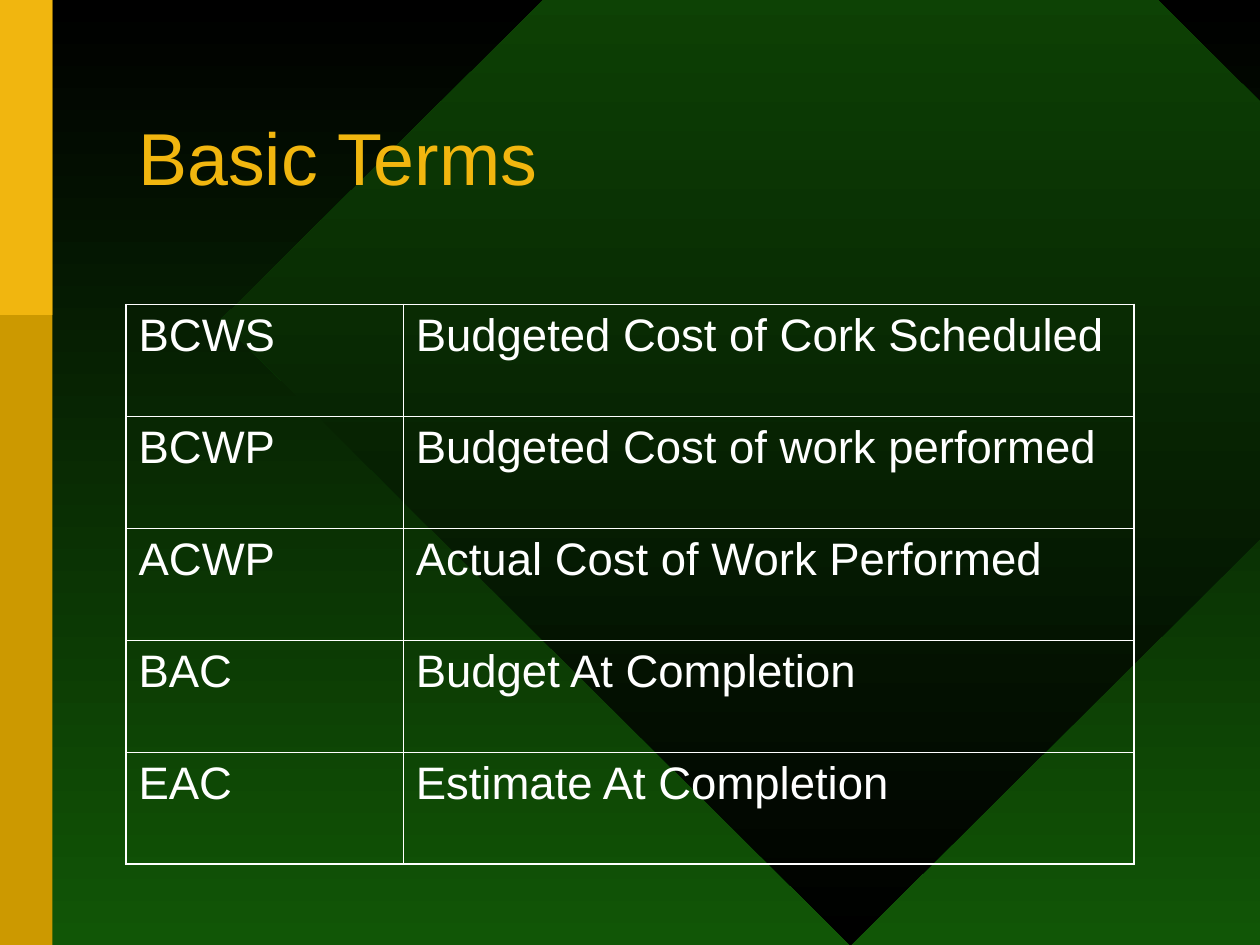
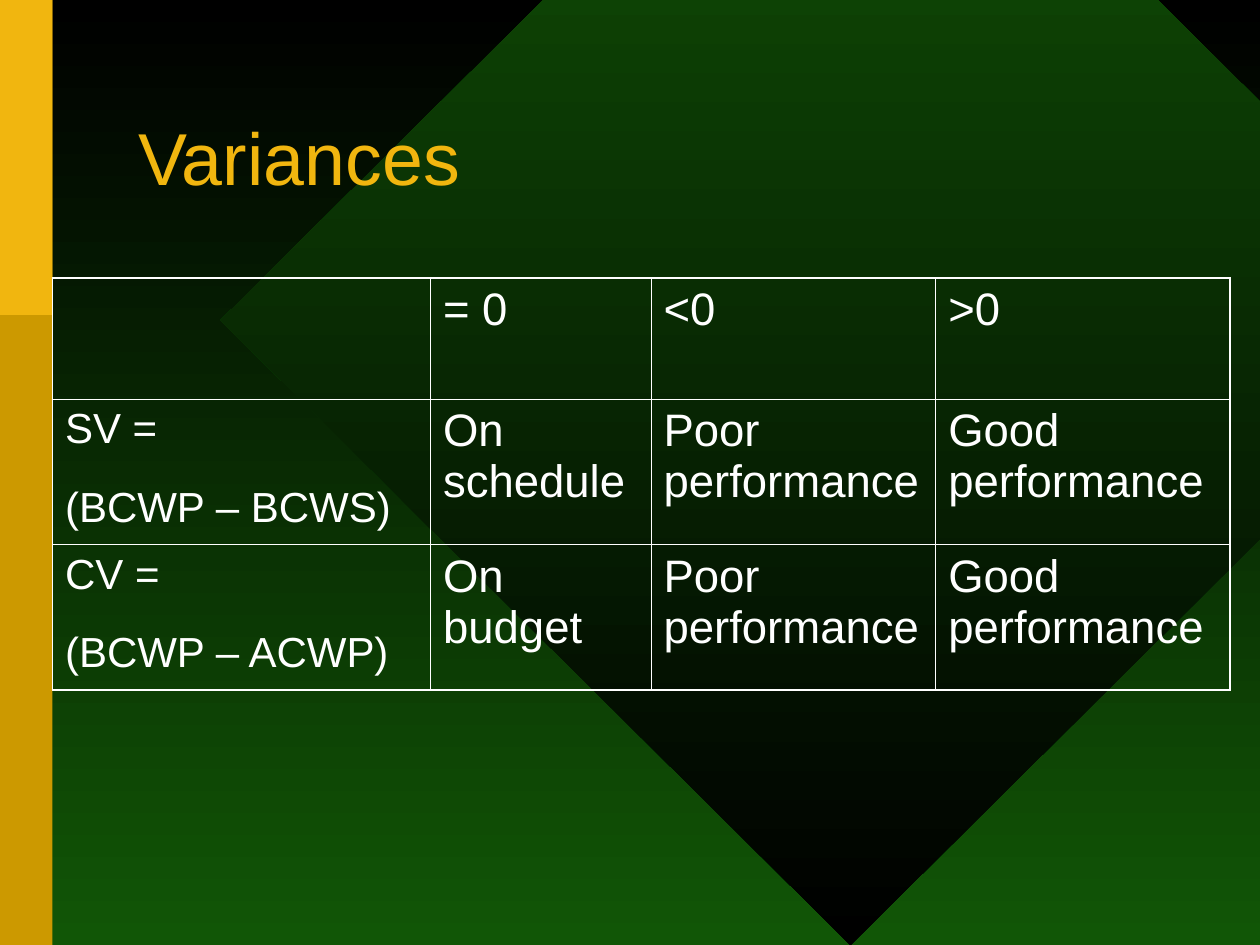
import pptx
import pptx.dml.color
import pptx.enum.shapes
import pptx.enum.text
import pptx.oxml
import pptx.oxml.ns
import pptx.util

Pt = pptx.util.Pt
SHAPES = pptx.enum.shapes.MSO_SHAPE
ANCHORS = pptx.enum.text.MSO_ANCHOR


def color(hex_text):
    return pptx.dml.color.RGBColor.from_string(hex_text)


def paint_gradient(fill, top, bottom):
    fill.gradient()
    fill.gradient_angle = 270
    for stop, shade in zip(fill.gradient_stops, (top, bottom)):
        stop.color.rgb = color(shade)


def write_text(frame, text, *, size, shade, font="Arial", before=0, spacing=1.0, anchor=ANCHORS.TOP):
    frame.word_wrap = True
    frame.vertical_anchor = anchor
    for index, line in enumerate(text.split("\n")):
        paragraph = frame.add_paragraph() if index else frame.paragraphs[0]
        paragraph.space_before = Pt(before)
        paragraph.line_spacing = spacing
        run = paragraph.add_run()
        run.text = line
        run.font.size = Pt(size)
        run.font.name = font
        run.font.color.rgb = color(shade)


class Deck:
    black = "000000"
    green = "115606"
    gold = "F1B60F"
    dark_gold = "CC9900"
    white = "FFFFFF"
    width, height = 720, 540
    band_width = 30
    outer_line, inner_line = 1.08, 0.45

    def __init__(self):
        self.presentation = pptx.Presentation()
        self.presentation.slide_width = Pt(self.width)
        self.presentation.slide_height = Pt(self.height)
        self.slide = None

    def add_slide(self, title):
        self.slide = self.presentation.slides.add_slide(self.presentation.slide_layouts[6])
        paint_gradient(self.slide.background.fill, self.black, self.green)
        diamond = self.add_shape(SHAPES.DIAMOND, 126, -174, 720, 714)
        paint_gradient(diamond.fill, self.green, self.black)
        self.add_band(self.height, self.dark_gold)
        self.add_band(self.height / 3, self.gold)
        self.add_title(title)

    def add_shape(self, kind, left, top, width, height):
        shape = self.slide.shapes.add_shape(kind, Pt(left), Pt(top), Pt(width), Pt(height))
        shape.shadow.inherit = False
        shape.line.fill.background()
        return shape

    def add_band(self, height, shade):
        band = self.add_shape(SHAPES.RECTANGLE, 0, 0, self.band_width, height)
        band.fill.solid()
        band.fill.fore_color.rgb = color(shade)

    def add_title(self, text):
        box = self.slide.shapes.add_textbox(Pt(72), Pt(48), Pt(594), Pt(90))
        write_text(box.text_frame, text, size=42, shade=self.gold, spacing=0.85, anchor=ANCHORS.MIDDLE)

    def add_table(self, left, top, column_widths, row_heights, rows, label_size=26):
        frame = self.slide.shapes.add_table(
            len(rows), len(column_widths), Pt(left), Pt(top), Pt(sum(column_widths)), Pt(sum(row_heights))
        )
        table = frame.table
        table.first_row = table.horz_banding = False
        for column, width in zip(table.columns, column_widths):
            column.width = Pt(width)
        for row, height in zip(table.rows, row_heights):
            row.height = Pt(height)
        last_row, last_column = len(rows) - 1, len(column_widths) - 1
        for row_index, texts in enumerate(rows):
            for column_index, text in enumerate(texts):
                cell = table.cell(row_index, column_index)
                cell.fill.background()
                self.add_borders(cell, {
                    "lnL": column_index == 0,
                    "lnR": column_index == last_column,
                    "lnT": row_index == 0,
                    "lnB": row_index == last_row,
                })
                if text:
                    size = 26 if column_index else label_size
                    write_text(cell.text_frame, text, size=size, shade=self.white, before=size * 0.75)

    def add_borders(self, cell, outer_sides):
        properties = cell._tc.get_or_add_tcPr()
        for position, (side, is_outer) in enumerate(outer_sides.items()):
            line_width = Pt(self.outer_line if is_outer else self.inner_line)
            border = pptx.oxml.parse_xml(
                f'<a:{side} {pptx.oxml.ns.nsdecls("a")} w="{line_width}">'
                f'<a:solidFill><a:srgbClr val="{self.white}"/></a:solidFill></a:{side}>'
            )
            properties.insert(position, border)


def main():
    deck = Deck()

    deck.add_slide("Basic Terms")
    terms = [
        ("BCWS", "Budgeted Cost of Cork Scheduled"),
        ("BCWP", "Budgeted Cost of work performed"),
        ("ACWP", "Actual Cost of Work Performed"),
        ("BAC", "Budget At Completion"),
        ("EAC", "Estimate At Completion"),
    ]
    deck.add_table(72, 174, [158.4, 417.6], [64] * len(terms), terms)

    deck.add_slide("Variances")
    variances = [
        ("", "= 0", "<0", ">0"),
        ("SV =\n(BCWP – BCWS)", "On schedule", "Poor performance", "Good performance"),
        ("CV =\n(BCWP – ACWP)", "On budget", "Poor performance", "Good performance"),
    ]
    deck.add_table(30, 159, [216, 126, 162.7, 168.3], [69.3, 83, 83], variances, label_size=24)

    deck.presentation.save("out.pptx")


if __name__ == "__main__":
    main()
